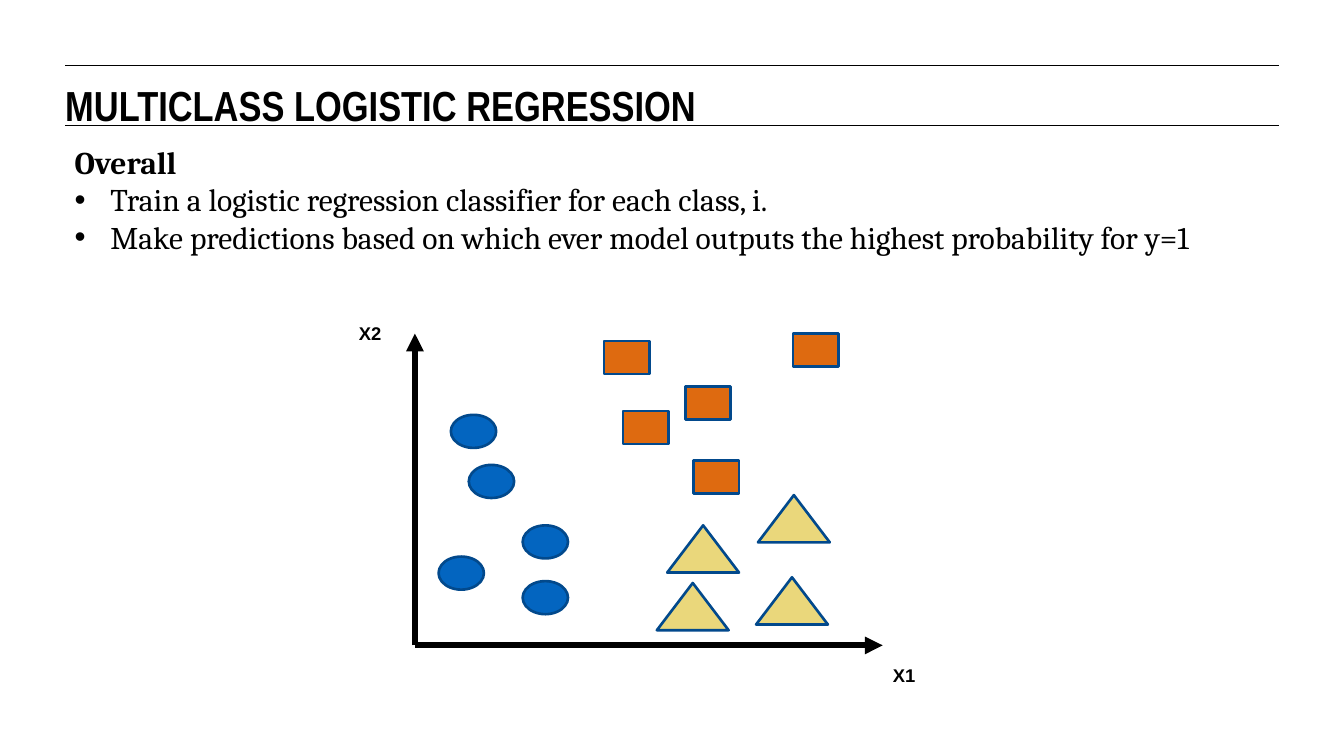
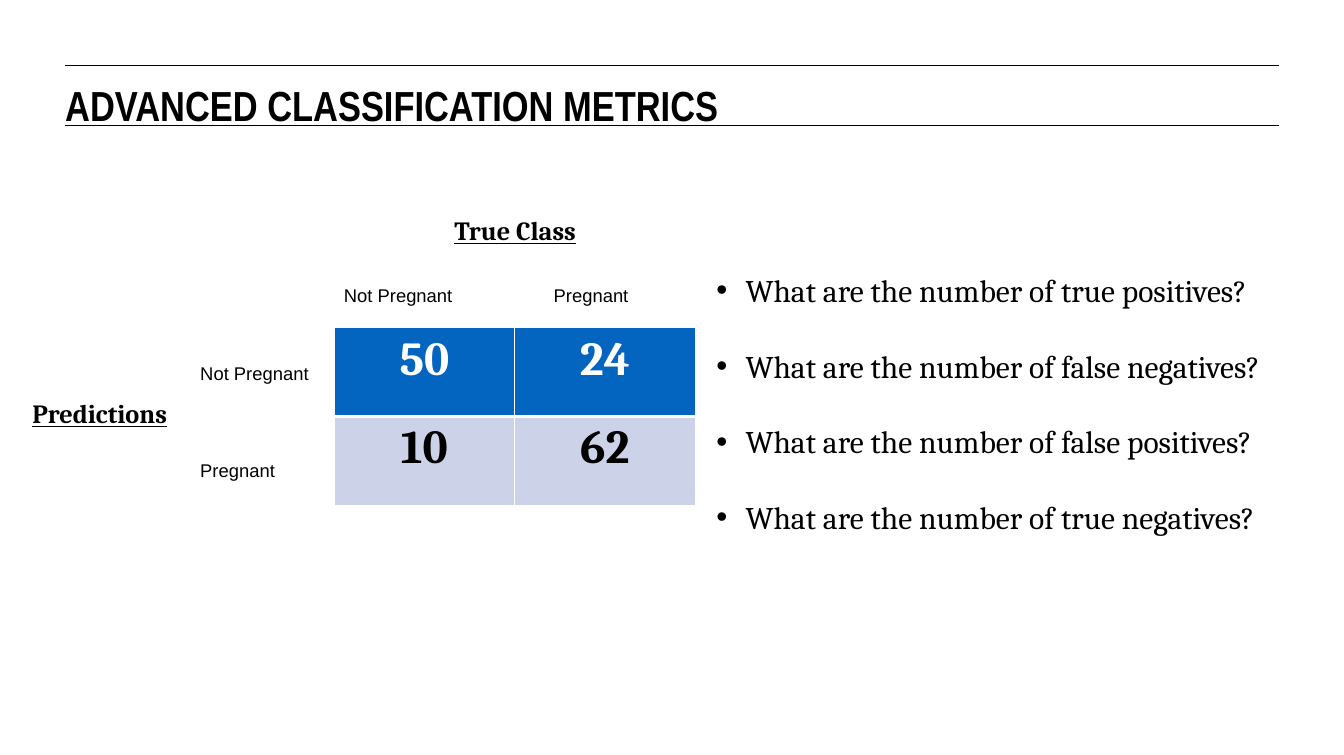
from dataclasses import dataclass

from lxml.etree import SubElement
from pptx import Presentation
from pptx.dml.color import RGBColor
from pptx.enum.shapes import MSO_CONNECTOR as Conn, MSO_SHAPE as Shp
from pptx.enum.text import MSO_ANCHOR as Anchor, PP_ALIGN as Align
from pptx.oxml.ns import qn
from pptx.util import Inches, Pt

# Shared colours and text formats
BLACK, WHITE = "000000", "FFFFFF"
BLUE, PALE_BLUE = "0365C0", "CCD3E8"
ORANGE, SAND, OUTLINE = "DE6A10", "EAD77B", "02498C"
TITLE = dict(name="Arial Narrow", size=Pt(32), bold=True)
BODY = dict(name="Cambria", size=Pt(24), bold=False)
BODY_BOLD = BODY | dict(bold=True)
CAPTION = dict(name="Cambria", size=Pt(20), bold=True, underline=True)
LABEL = dict(name="Arial", size=Pt(14), bold=False)
AXIS_LABEL = LABEL | dict(bold=True)
COUNT = dict(name="Cambria", size=Pt(36), bold=True)
INSETS = (0.1, 0.05, 0.1, 0.05)


@dataclass
class Para:
    text: str
    fmt: dict
    align: Align = Align.LEFT
    indent: float = 0  # a hanging bullet when above zero
    before: float = 0


@dataclass
class Markers:
    kind: Shp
    fill: str
    width: float
    height: float
    points: list[tuple[float, float]]


def rgb(value: str) -> RGBColor:
    return RGBColor.from_string(value)


def write(p, para: Para, color: str = BLACK) -> None:
    p.alignment = para.align
    p.space_before = Pt(para.before)
    r = p.add_run()
    r.text = para.text
    for key, value in para.fmt.items():
        setattr(r.font, key, value)
    r.font.color.rgb = rgb(color)
    if para.indent:
        pPr = p._p.get_or_add_pPr()
        pPr.set("marL", str(Inches(para.indent)))
        pPr.set("indent", str(-Inches(para.indent)))
        SubElement(pPr, qn("a:buFont")).set("typeface", "Arial")
        SubElement(pPr, qn("a:buChar")).set("char", "•")


def add_text(s, x: float, y: float, w: float, h: float, *paras: Para,
             insets: tuple = INSETS) -> None:
    tf = s.shapes.add_textbox(Inches(x), Inches(y), Inches(w), Inches(h)).text_frame
    tf.word_wrap = True
    tf.vertical_anchor = Anchor.TOP
    for side, inset in zip(("left", "top", "right", "bottom"), insets):
        setattr(tf, f"margin_{side}", Inches(inset))
    for i, para in enumerate(paras):
        write(tf.add_paragraph() if i else tf.paragraphs[0], para)


def add_line(s, x1: float, y1: float, x2: float, y2: float, width: float,
             arrow: bool = False) -> None:
    line = s.shapes.add_connector(
        Conn.STRAIGHT, Inches(x1), Inches(y1), Inches(x2), Inches(y2))
    line.line.color.rgb = rgb(BLACK)
    line.line.width = Pt(width)
    if arrow:
        SubElement(line.line._get_or_add_ln(), qn("a:tailEnd")).set("type", "triangle")
    SubElement(line._element.spPr, qn("a:effectLst"))


def add_markers(s, markers: Markers) -> None:
    for x, y in markers.points:
        sp = s.shapes.add_shape(markers.kind, Inches(x), Inches(y),
                                Inches(markers.width), Inches(markers.height))
        sp.shadow.inherit = False
        sp.fill.solid()
        sp.fill.fore_color.rgb = rgb(markers.fill)
        sp.line.color.rgb = rgb(OUTLINE)
        sp.line.width = Pt(2)


def set_borders(cell, widths: dict[str, float]) -> None:
    tcPr = cell._tc.get_or_add_tcPr()
    for i, (side, width) in enumerate(widths.items()):
        ln = tcPr.makeelement(qn(f"a:ln{side}"), {"w": str(Pt(width))})
        fill = SubElement(ln, qn("a:solidFill"))
        SubElement(fill, qn("a:srgbClr")).set("val", WHITE)
        tcPr.insert(i, ln)  # borders come before the fill


def new_slide(prs, title: str):
    """Blank slide with the two header rules and the title between them."""
    s = prs.slides.add_slide(prs.slide_layouts[6])
    for y in (0.69, 1.33):
        add_line(s, 0.69, y, 13.53, y, 0.75)
    add_text(s, 0.69, 0.81, 12.83, 0.47, Para(title, TITLE), insets=(0, 0.03, 0, 0))
    return s


def multiclass_slide(prs) -> None:
    s = new_slide(prs, "MULTICLASS LOGISTIC REGRESSION")
    add_text(
        s, 0.69, 1.41, 13.25, 0.96,
        Para("Overall", BODY_BOLD),
        Para("Train a logistic regression classifier for each class, i.", BODY, indent=0.38),
        Para("Make predictions based on which ever model outputs the highest "
             "probability for y=1", BODY, indent=0.38),
        insets=(0.1,) * 4)

    # Axes
    origin = (4.39, 6.83)
    for end in ((4.39, 3.53), (9.34, 6.83)):
        add_line(s, *origin, *end, 4.5, arrow=True)
    for name, x, y in (("X2", 3.7, 3.36), ("X1", 9.35, 6.98)):
        add_text(s, x, y, 0.86, 0.35, Para(name, AXIS_LABEL))

    # Three classes of points
    for markers in (
        Markers(Shp.OVAL, BLUE, 0.48, 0.35,
                [(4.77, 4.39), (4.96, 4.92), (5.53, 5.56), (4.64, 5.89), (5.53, 6.15)]),
        Markers(Shp.RECTANGLE, ORANGE, 0.48, 0.35,
                [(6.39, 3.61), (7.25, 4.09), (6.59, 4.35), (8.39, 3.53), (7.34, 4.87)]),
        Markers(Shp.ISOSCELES_TRIANGLE, SAND, 0.76, 0.5,
                [(7.06, 5.56), (8.02, 5.24), (8, 6.11), (6.95, 6.17)]),
    ):
        add_markers(s, markers)


def metrics_slide(prs) -> None:
    s = new_slide(prs, "ADVANCED CLASSIFICATION METRICS")

    # Confusion matrix
    table = s.shapes.add_table(
        2, 2, Inches(3.54), Inches(3.47), Inches(3.82), Inches(1.88)).table
    for column, width in zip(table.columns, (1.9, 1.92)):
        column.width = Inches(width)
    rows = (((50, 24), BLUE, WHITE, 1, 3), ((10, 62), PALE_BLUE, BLACK, 3, 1))
    for i, (counts, fill, color, top, bottom) in enumerate(rows):
        table.rows[i].height = Inches(0.94)
        for j, count in enumerate(counts):
            cell = table.cell(i, j)
            cell.fill.solid()
            cell.fill.fore_color.rgb = rgb(fill)
            set_borders(cell, dict(L=1, R=1, T=top, B=bottom))
            write(cell.text_frame.paragraphs[0],
                  Para(str(count), COUNT, Align.CENTER), color)

    # Captions and class labels
    for text, x, y, w in (("True Class", 3.74, 2.22, 3.42),
                          ("Predictions", 0.09, 4.16, 1.93)):
        add_text(s, x, y, w, 0.44, Para(text, CAPTION, Align.CENTER))
    for text, x, y in (("Not Pregnant", 3.54, 2.96), ("Pregnant", 5.76, 2.96),
                       ("Not Pregnant", 2.02, 3.78), ("Pregnant", 2.02, 4.81)):
        add_text(s, x, y, 2.11, 0.34, Para(text, LABEL))

    # Questions
    outcomes = ("true positives", "false negatives", "false positives", "true negatives")
    add_text(s, 7.48, 2.82, 6.75, 2.93, *(
        Para(f"What are the number of {outcome}?", BODY, indent=0.31,
             before=28.8 if i else 0)
        for i, outcome in enumerate(outcomes)))


def main() -> None:
    prs = Presentation()
    prs.slide_width, prs.slide_height = Inches(14.22), Inches(7.99)
    multiclass_slide(prs)
    metrics_slide(prs)
    prs.save("out.pptx")


if __name__ == "__main__":
    main()
